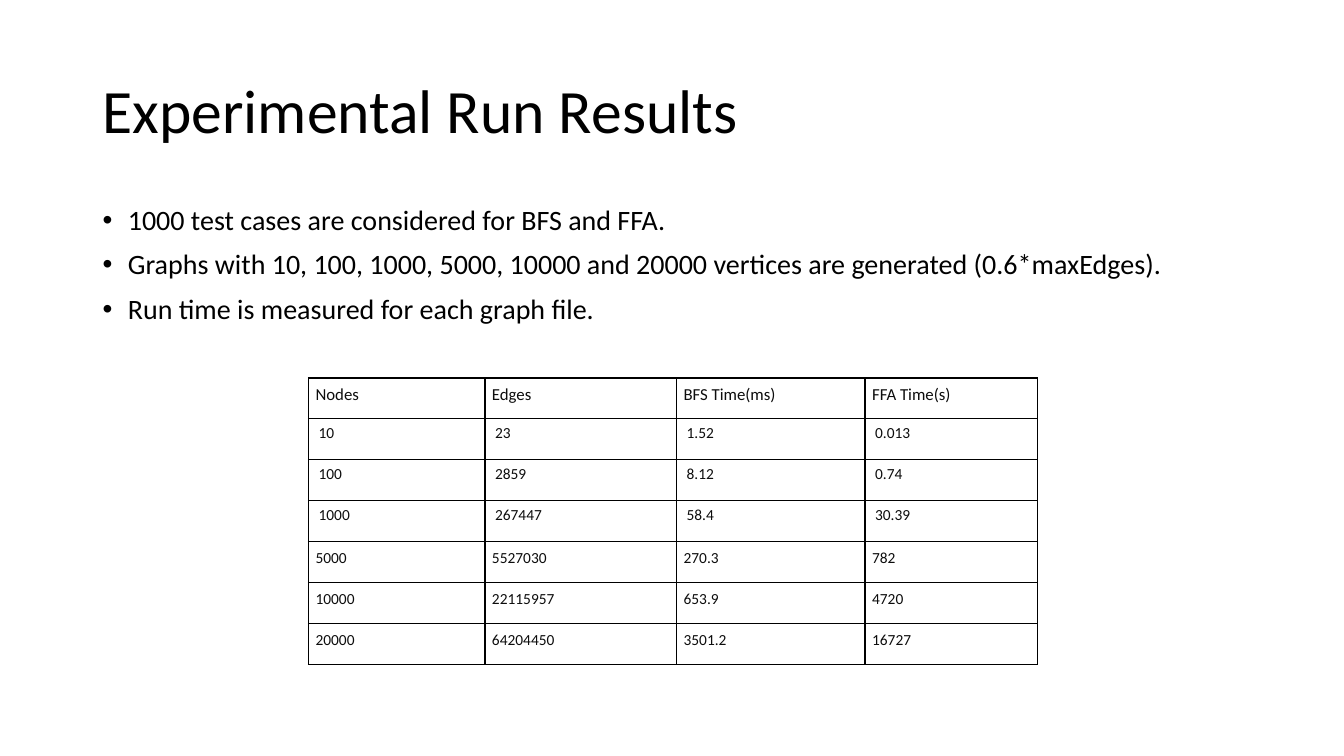
from dataclasses import dataclass

from lxml.etree import SubElement
from pptx import Presentation
from pptx.dml.color import RGBColor
from pptx.enum.text import MSO_ANCHOR as Anchor
from pptx.oxml.ns import qn
from pptx.util import Inches, Pt


@dataclass(frozen=True)
class Theme:
    font: str = "Calibri"
    text: str = "000000"
    cell_text: str = "0D0D0D"
    border: str = "000000"
    border_pt: float = 1
    title_pt: int = 44
    body_pt: int = 20
    header_pt: int = 12
    cell_pt: int = 11


@dataclass(frozen=True)
class TextBlock:
    top: float
    height: float
    size: int
    anchor: Anchor
    lines: tuple[str, ...]
    space_before: float = 0
    bullet: str = ""


@dataclass(frozen=True)
class ResultRow:
    values: tuple[str, ...]
    size: int
    inset_x: float = 0.07
    inset_y: float = 0.07


THEME = Theme()
TEXT_LEFT, TEXT_WIDTH = 0.92, 11.5
BULLET_INDENT = 0.25
TABLE_LEFT, TABLE_TOP, TABLE_HEIGHT = 3.06, 3.75, 2.84
COL_WIDTHS = (1.75, 1.9, 1.87, 1.71)

BLOCKS = (
    TextBlock(0.4, 1.45, THEME.title_pt, Anchor.MIDDLE, ("Experimental Run Results",)),
    TextBlock(2, 4.76, THEME.body_pt, Anchor.TOP, (
        "1000 test cases are considered for BFS and FFA.",
        "Graphs with 10, 100, 1000, 5000, 10000 and 20000 vertices are generated (0.6*maxEdges).",
        "Run time is measured for each graph file.",
    ), space_before=10, bullet="\u2022"),
)

ROWS = (
    ResultRow(("Nodes", "Edges", "BFS Time(ms)", "FFA Time(s)"), THEME.header_pt),
    ResultRow(("10", "23", "1.52", "0.013"), THEME.cell_pt, 0.1, 0.05),
    ResultRow(("100", "2859", "8.12", "0.74"), THEME.cell_pt, 0.1, 0.05),
    ResultRow(("1000", "267447", "58.4", "30.39"), THEME.cell_pt, 0.1, 0.05),
    ResultRow(("5000", "5527030", "270.3", "782"), THEME.cell_pt),
    ResultRow(("10000", "22115957", "653.9", "4720"), THEME.cell_pt),
    ResultRow(("20000", "64204450", "3501.2", "16727"), THEME.cell_pt),
)


def set_attrs(obj, values: dict) -> None:
    for name, value in values.items():
        setattr(obj, name, value)


def add_run(p, text: str, size: int, color: str) -> None:
    r = p.add_run()
    r.text = text
    set_attrs(r.font, {"name": THEME.font, "size": Pt(size)})
    r.font.color.rgb = RGBColor.from_string(color)


def add_bullet(p, char: str) -> None:
    pPr = p._p.get_or_add_pPr()
    indent = Inches(BULLET_INDENT)
    pPr.set("marL", str(indent))
    pPr.set("indent", str(-indent))
    SubElement(pPr, qn("a:buFont"), typeface="Arial")
    SubElement(pPr, qn("a:buChar"), char=char)


def add_text(slide, block: TextBlock) -> None:
    sp = slide.shapes.add_textbox(Inches(TEXT_LEFT), Inches(block.top),
                                  Inches(TEXT_WIDTH), Inches(block.height))
    tf = sp.text_frame
    set_attrs(tf, {"word_wrap": True, "vertical_anchor": block.anchor})
    for i, line in enumerate(block.lines):
        p = tf.add_paragraph() if i else tf.paragraphs[0]
        set_attrs(p, {"line_spacing": 0.9, "space_before": Pt(block.space_before)})
        if block.bullet:
            add_bullet(p, block.bullet)
        add_run(p, line, block.size, THEME.text)


def add_borders(cell) -> None:
    tcPr = cell._tc.get_or_add_tcPr()
    for side in ("lnL", "lnR", "lnT", "lnB"):
        ln = SubElement(tcPr, qn(f"a:{side}"), w=str(Pt(THEME.border_pt)))
        fill = SubElement(ln, qn("a:solidFill"))
        SubElement(fill, qn("a:srgbClr"), val=THEME.border)


def fill_cell(cell, text: str, row: ResultRow) -> None:
    x, y = Inches(row.inset_x), Inches(row.inset_y)
    set_attrs(cell, {"margin_left": x, "margin_right": x,
                     "margin_top": y, "margin_bottom": y})
    add_borders(cell)
    cell.fill.background()
    add_run(cell.text_frame.paragraphs[0], text, row.size, THEME.cell_text)


def add_results(slide, rows: tuple[ResultRow, ...]) -> None:
    table = slide.shapes.add_table(len(rows), len(COL_WIDTHS), Inches(TABLE_LEFT),
                                   Inches(TABLE_TOP), Inches(sum(COL_WIDTHS)),
                                   Inches(TABLE_HEIGHT)).table
    set_attrs(table, {"first_row": False, "horz_banding": False})
    for column, width in zip(table.columns, COL_WIDTHS):
        column.width = Inches(width)
    for cells, row in zip(table.rows, rows):
        for cell, text in zip(cells.cells, row.values):
            fill_cell(cell, text, row)


def main() -> None:
    prs = Presentation()
    set_attrs(prs, {"slide_width": Inches(13.33), "slide_height": Inches(7.5)})
    slide = prs.slides.add_slide(prs.slide_layouts[6])
    for block in BLOCKS:
        add_text(slide, block)
    add_results(slide, ROWS)
    prs.save("out.pptx")


main()
